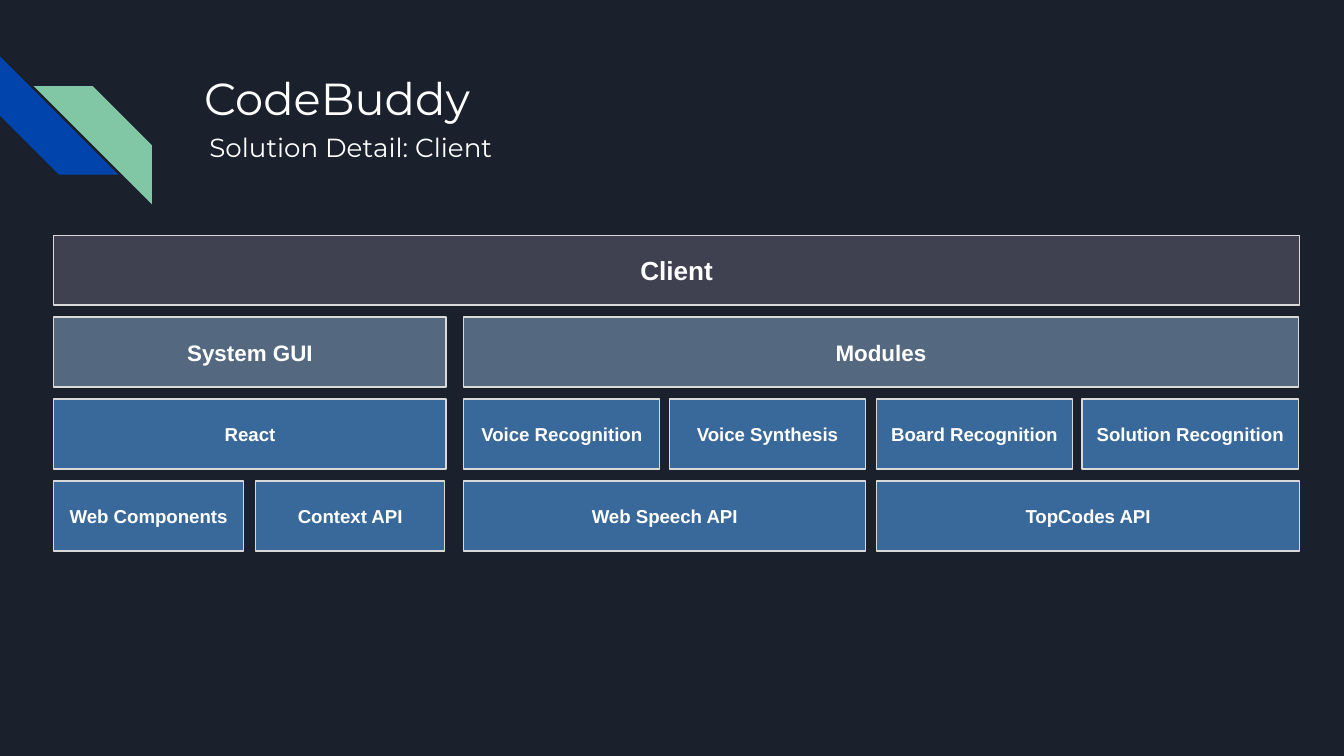
from pptx import Presentation
from pptx.dml.color import RGBColor
from pptx.enum.shapes import MSO_SHAPE
from pptx.enum.text import MSO_ANCHOR, PP_ALIGN
from pptx.util import Inches, Pt

RECTANGLE = MSO_SHAPE.RECTANGLE
STRIPE = MSO_SHAPE.DIAGONAL_STRIPE
TOP, MIDDLE = MSO_ANCHOR.TOP, MSO_ANCHOR.MIDDLE
LEFT, CENTER = PP_ALIGN.LEFT, PP_ALIGN.CENTER

COLORS = {
    "background": "1B212C",
    "blue": "0145AC",
    "green": "82C7A5",
    "client": "404150",
    "area": "546980",
    "part": "39689A",
    "border": "D9D9D9",
    "text": "FFFFFF",
}

FIRST_ROW_TOP, ROW_STEP, ROW_HEIGHT = 1.75, 0.61, 0.52

# Each row: fill, text size, then (label, left, width) for its blocks
ROWS = [
    ("client", 14, [("Client", 0.4, 9.27)]),
    ("area", 12, [("System GUI", 0.4, 2.92), ("Modules", 3.45, 6.21)]),
    ("part", 10, [
        ("React", 0.4, 2.92),
        ("Voice Recognition", 3.45, 1.46),
        ("Voice Synthesis", 4.98, 1.46),
        ("Board Recognition", 6.52, 1.46),
        ("Solution Recognition", 8.05, 1.61),
    ]),
    ("part", 10, [
        ("Web Components", 0.4, 1.41),
        ("Context API", 1.9, 1.41),
        ("Web Speech API", 3.45, 2.99),
        ("TopCodes API", 6.52, 3.15),
    ]),
]


def color(name):
    return RGBColor.from_string(COLORS[name])


def write(box, text, size, font, bold=False, align=LEFT, anchor=TOP):
    frame = box.text_frame
    frame.word_wrap = True
    frame.vertical_anchor = anchor
    frame.margin_left = frame.margin_right = Inches(0.1)
    frame.margin_top = frame.margin_bottom = Inches(0.1)
    para = frame.paragraphs[0]
    para.alignment = align
    span = para.add_run()
    span.text = text
    span.font.size = Pt(size)
    span.font.name = font
    span.font.bold = bold
    span.font.color.rgb = color("text")


def add_filled(page, kind, left, top, width, height, fill):
    shape = page.shapes.add_shape(
        kind, Inches(left), Inches(top), Inches(width), Inches(height))
    shape.shadow.inherit = False
    shape.fill.solid()
    shape.fill.fore_color.rgb = color(fill)
    return shape


def add_stripe(page, left, top, fill, rotation):
    stripe = add_filled(page, STRIPE, left, top, 0.88, 0.88, fill)
    stripe.line.fill.background()
    stripe.rotation = rotation


def add_heading(page, text, left, top, width, height, size):
    box = page.shapes.add_textbox(
        Inches(left), Inches(top), Inches(width), Inches(height))
    write(box, text, size, "Montserrat")


def add_block(page, label, left, top, width, fill, size):
    block = add_filled(page, RECTANGLE, left, top, width, ROW_HEIGHT, fill)
    block.line.color.rgb = color("border")
    block.line.width = Pt(0.75)
    write(block, label, size, "Arial", True, CENTER, MIDDLE)


def main():
    deck = Presentation()
    deck.slide_width = Inches(10)
    deck.slide_height = deck.slide_width * 9 // 16
    page = deck.slides.add_slide(deck.slide_layouts[6])
    page.background.fill.solid()
    page.background.fill.fore_color.rgb = color("background")

    add_stripe(page, 0, 0.42, "blue", 270)
    add_stripe(page, 0.25, 0.64, "green", 90)
    add_heading(page, "CodeBuddy", 1.42, 0.43, 7.7, 1, 24)
    add_heading(page, "Solution Detail: Client", 1.46, 0.88, 4.46, 0.76, 14)

    for index, (fill, size, blocks) in enumerate(ROWS):
        top = FIRST_ROW_TOP + index * ROW_STEP
        for label, left, width in blocks:
            add_block(page, label, left, top, width, fill, size)

    deck.save("out.pptx")


if __name__ == "__main__":
    main()
